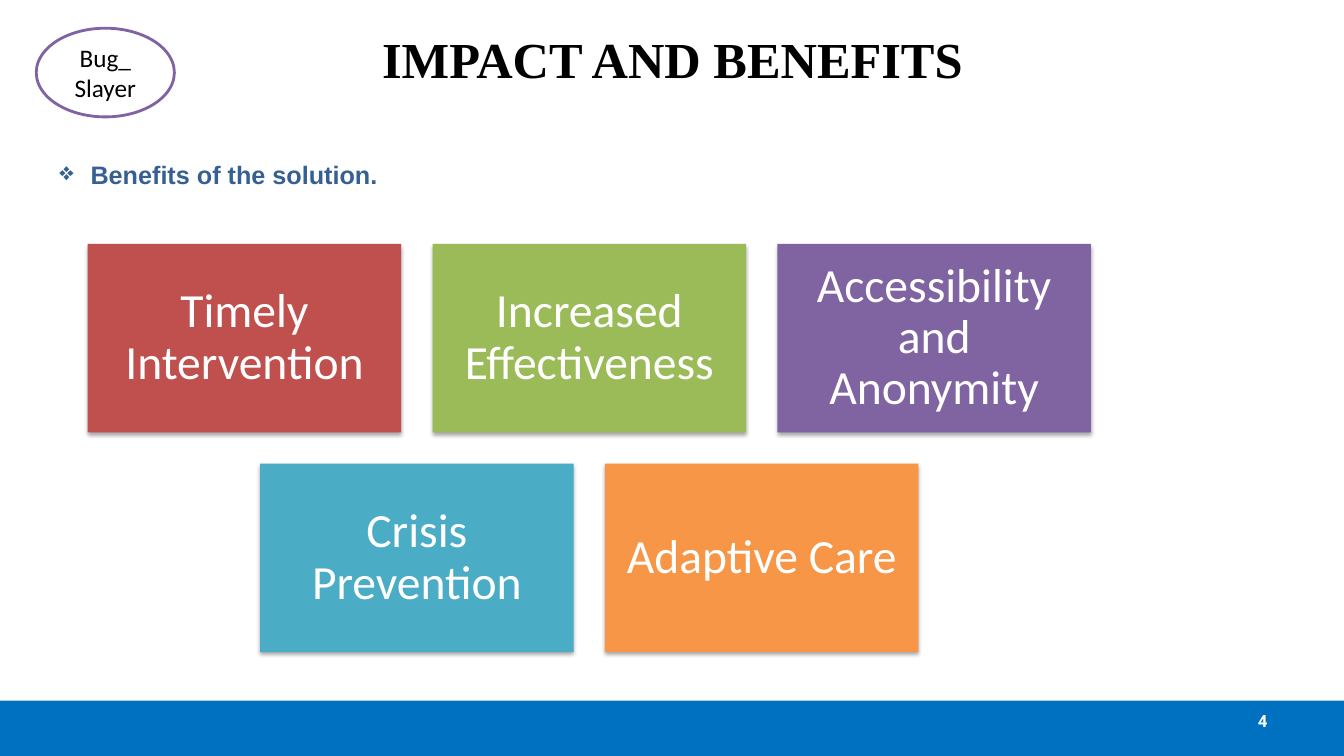
from lxml import etree
from pptx import Presentation
from pptx import util as u
from pptx.dml.color import RGBColor
from pptx.enum import shapes, text
from pptx.oxml.ns import qn

WHITE = RGBColor(0xFF, 0xFF, 0xFF)
BLACK = RGBColor(0x00, 0x00, 0x00)
GRAY = RGBColor(0x80, 0x80, 0x80)
BAR_BLUE = RGBColor(0x00, 0x70, 0xC0)
HEADING_BLUE = RGBColor(0x37, 0x60, 0x92)
RED = RGBColor(0xC0, 0x50, 0x4D)
GREEN = RGBColor(0x9B, 0xBB, 0x59)
PURPLE = RGBColor(0x80, 0x64, 0xA2)
TEAL = RGBColor(0x4B, 0xAC, 0xC6)
ORANGE = RGBColor(0xF7, 0x96, 0x46)

CARD_WIDTH, CARD_HEIGHT, CARD_GAP = 3.11, 1.87, 0.31
CARDS_LEFT, CARDS_TOP, CARDS_PER_ROW = 0.87, 2.42, 3
BENEFITS = [
    ("Timely Intervention", RED),
    ("Increased Effectiveness", GREEN),
    ("Accessibility and Anonymity", PURPLE),
    ("Crisis Prevention", TEAL),
    ("Adaptive Care", ORANGE),
]


def write(shape, content, color, align, anchor=text.MSO_ANCHOR.MIDDLE, **font_format):
    """Fill the shape with one formatted paragraph and return it."""
    frame = shape.text_frame
    frame.word_wrap = True
    frame.vertical_anchor = anchor
    paragraph = frame.paragraphs[0]
    paragraph.alignment = align
    run = paragraph.add_run()
    run.text = content
    run.font.color.rgb = color
    for name, value in font_format.items():
        setattr(run.font, name, value)
    return paragraph


def add_filled(slide, kind, box, fill, line=None):
    shape = slide.shapes.add_shape(kind, *map(u.Inches, box))
    shape.shadow.inherit = False
    shape.fill.solid()
    shape.fill.fore_color.rgb = fill
    if line is None:
        shape.line.fill.background()
    else:
        shape.line.color.rgb = line
        shape.line.width = u.Pt(2)
    return shape


def add_textbox(slide, box):
    return slide.shapes.add_textbox(*map(u.Inches, box))


def cast_shadow(shape, color, blur):
    """Add a soft shadow straight below the shape."""
    effects = shape._element.spPr.find(qn("a:effectLst"))
    shadow = etree.SubElement(
        effects, qn("a:outerShdw"), blurRad=str(u.Pt(blur)), dist=str(u.Pt(1.8)),
        dir="5400000", rotWithShape="0")
    shade = etree.SubElement(shadow, qn("a:srgbClr"), val=str(color))
    etree.SubElement(shade, qn("a:alpha"), val="35000")


def add_bullet(paragraph, character, indent):
    properties = paragraph._p.get_or_add_pPr()
    properties.set("marL", str(u.Inches(indent)))
    properties.set("indent", str(u.Inches(-indent)))
    etree.SubElement(properties, qn("a:buChar"), char=character)


def add_card(slide, label, fill, left, top):
    card = add_filled(slide, shapes.MSO_SHAPE.RECTANGLE,
                      (left, top, CARD_WIDTH, CARD_HEIGHT), fill)
    cast_shadow(card, BLACK, 3.1)
    for side in ("left", "top", "right", "bottom"):
        setattr(card.text_frame, f"margin_{side}", u.Inches(0.14))
    paragraph = write(card, label, WHITE, text.PP_ALIGN.CENTER,
                      name="Calibri", size=u.Pt(34))
    paragraph.line_spacing = 0.9


def add_benefit_cards(slide):
    """Lay the cards out in rows, centring a row that is not full."""
    step_x, step_y = CARD_WIDTH + CARD_GAP, CARD_HEIGHT + CARD_GAP
    for start in range(0, len(BENEFITS), CARDS_PER_ROW):
        row = BENEFITS[start:start + CARDS_PER_ROW]
        left = CARDS_LEFT + (CARDS_PER_ROW - len(row)) * step_x / 2
        top = CARDS_TOP + start // CARDS_PER_ROW * step_y
        for column, (label, fill) in enumerate(row):
            add_card(slide, label, fill, left + column * step_x, top)


def add_title(slide, content):
    title = slide.shapes.title
    title.left, title.top, title.width, title.height = map(
        u.Inches, (0.67, -0.05, 12, 1.25))
    write(title, content, BLACK, text.PP_ALIGN.CENTER,
          name="Times New Roman", size=u.Pt(36), bold=True)


def add_footer(slide, number):
    bar = add_filled(slide, shapes.MSO_SHAPE.RECTANGLE, (0, 6.95, 13.33, 0.55), BAR_BLUE)
    cast_shadow(bar, GRAY, 0)
    write(add_textbox(slide, (9.56, 6.95, 3.11, 0.4)), number, WHITE,
          text.PP_ALIGN.RIGHT, name="Roboto", size=u.Pt(12), bold=True)


def add_team_badge(slide, team):
    badge = add_filled(slide, shapes.MSO_SHAPE.OVAL, (0.36, 0.28, 1.37, 0.88),
                       WHITE, PURPLE)
    write(badge, team, BLACK, text.PP_ALIGN.CENTER, name="Calibri", size=u.Pt(18))


def add_heading(slide, content):
    heading = add_textbox(slide, (0.49, 1.53, 6.06, 0.4))
    paragraph = write(heading, content, HEADING_BLUE, text.PP_ALIGN.LEFT,
                      text.MSO_ANCHOR.TOP, name="Arial", size=u.Pt(18), bold=True)
    add_bullet(paragraph, "❖", 0.31)


def main():
    presentation = Presentation()
    presentation.slide_width = u.Inches(13.33)
    presentation.slide_height = u.Inches(7.5)
    slide = presentation.slides.add_slide(presentation.slide_layouts[5])
    add_footer(slide, "4")
    add_title(slide, "IMPACT AND BENEFITS")
    add_team_badge(slide, "Bug_ Slayer")
    add_heading(slide, "Benefits of the solution.")
    add_benefit_cards(slide)
    presentation.save("out.pptx")


if __name__ == "__main__":
    main()
